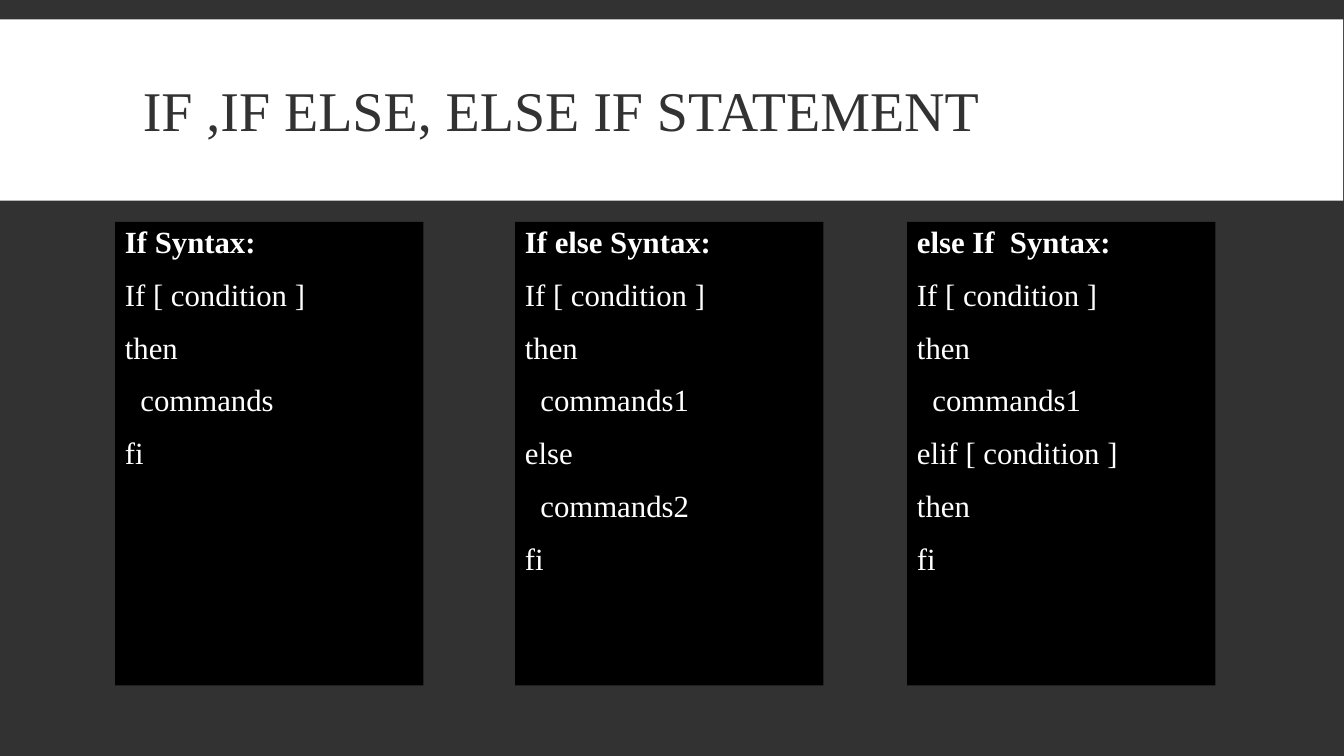
from pptx import Presentation
from pptx.dml.color import RGBColor
from pptx.enum.shapes import MSO_SHAPE
from pptx.enum.text import MSO_ANCHOR, PP_ALIGN
from pptx.util import Cm, Pt

RECTANGLE = MSO_SHAPE.RECTANGLE
TOP = MSO_ANCHOR.TOP
MIDDLE = MSO_ANCHOR.MIDDLE
LEFT = PP_ALIGN.LEFT

FONT = "Times New Roman"
DARK = "323232"
WHITE = "FFFFFF"
BLACK = "000000"


def paint(fill, color):
    fill.solid()
    fill.fore_color.rgb = RGBColor.from_string(color)


def add_run(paragraph, text, size, color, bold=False):
    run = paragraph.add_run()
    run.text = text
    run.font.name = FONT
    run.font.size = Pt(size)
    run.font.bold = bold
    paint(run.font.fill, color)


presentation = Presentation()
presentation.slide_width = Cm(33.87)
presentation.slide_height = Cm(19.05)
slide = presentation.slides.add_slide(presentation.slide_layouts[6])
paint(slide.background.fill, DARK)

title_band = slide.shapes.add_shape(RECTANGLE, Cm(0), Cm(0.49), Cm(33.85), Cm(4.57))
title_band.shadow.inherit = False
title_band.line.fill.background()
paint(title_band.fill, WHITE)

title = slide.shapes.add_textbox(Cm(3.35), Cm(0.79), Cm(27.18), Cm(4.19))
title.text_frame.word_wrap = True
title.text_frame.vertical_anchor = MIDDLE
paragraph = title.text_frame.paragraphs[0]
paragraph.line_spacing = 0.85
add_run(paragraph, "IF ,IF ELSE, ELSE IF STATEMENT", 40, DARK)

syntax_panels = [
    (2.9, "If Syntax:", ["If [ condition ]", "then", "commands", "fi"]),
    (12.98, "If else Syntax:",
     ["If [ condition ]", "then", "commands1", "else", "commands2", "fi"]),
    (22.86, "else If  Syntax:",
     ["If [ condition ]", "then", "commands1", "elif [ condition ]", "then", "fi"]),
]

for left, heading, code_lines in syntax_panels:
    panel = slide.shapes.add_shape(RECTANGLE, Cm(left), Cm(5.59), Cm(7.77), Cm(11.68))
    panel.shadow.inherit = False
    panel.line.fill.background()
    paint(panel.fill, BLACK)
    text_frame = panel.text_frame
    text_frame.word_wrap = True
    text_frame.vertical_anchor = TOP
    for index, line in enumerate([heading] + code_lines):
        paragraph = text_frame.add_paragraph() if index else text_frame.paragraphs[0]
        paragraph.alignment = LEFT
        paragraph.line_spacing = 0.9
        paragraph.space_before = Pt(12)
        paragraph.space_after = Pt(2)
        if line.startswith("commands"):
            paragraph_properties = paragraph._p.get_or_add_pPr()
            paragraph_properties.set("marL", str(Cm(0.39)))
            paragraph_properties.set("indent", "0")
        add_run(paragraph, line, 22, WHITE, bold=index == 0)

presentation.save("out.pptx")
